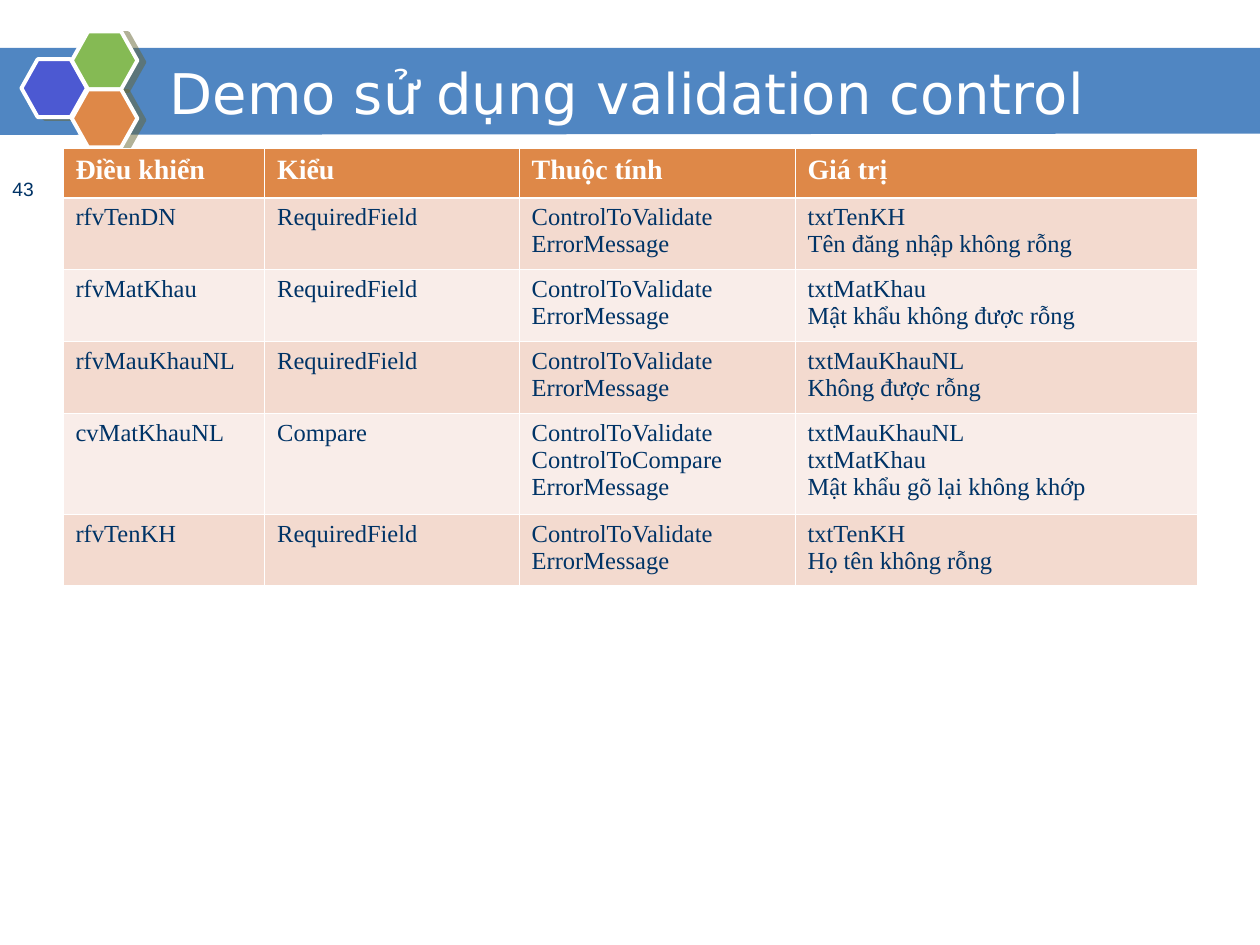
"""Builds a slide with a table of validation controls and their properties."""
from pptx import Presentation
from pptx.dml.color import RGBColor
from pptx.enum.shapes import MSO_SHAPE
from pptx.enum.text import MSO_ANCHOR
from pptx.oxml import parse_xml
from pptx.oxml.ns import nsdecls, qn
from pptx.util import Inches, Pt

WHITE = RGBColor(0xFF, 0xFF, 0xFF)
NAVY = RGBColor(0x00, 0x33, 0x66)
BLUE = RGBColor(0x50, 0x86, 0xC2)
INDIGO = RGBColor(0x4C, 0x59, 0xD2)
GREEN = RGBColor(0x85, 0xBA, 0x54)
ORANGE = RGBColor(0xDE, 0x88, 0x48)
PEACH = RGBColor(0xF3, 0xDA, 0xCF)
PALE_PEACH = RGBColor(0xF9, 0xED, 0xE9)
OLIVE = RGBColor(0x66, 0x66, 0x33)


def write_lines(text_frame, lines, font_name, size, color, bold=False):
    text_frame.text = "\n".join(lines)
    for paragraph in text_frame.paragraphs:
        paragraph.font.name = font_name
        paragraph.font.size = Pt(size)
        paragraph.font.color.rgb = color
        paragraph.font.bold = bold


def add_border(cell, side, width):
    cell._tc.get_or_add_tcPr().append(parse_xml(
        f'<a:{side} {nsdecls("a")} w="{Pt(width)}"><a:solidFill>'
        f'<a:srgbClr val="{WHITE}"/></a:solidFill></a:{side}>'))


presentation = Presentation()
presentation.slide_width = Inches(10)
presentation.slide_height = Inches(7.5)
slide = presentation.slides.add_slide(presentation.slide_layouts[6])

builder = slide.shapes.build_freeform(Inches(-0.01), Inches(0.38))
builder.add_line_segments(
    [(Inches(x), Inches(y)) for x, y in [(10, 0.38), (10, 1.06), (-0.01, 1.07)]])
title_band = builder.convert_to_shape()
title_band.shadow.inherit = False
title_band.fill.solid()
title_band.fill.fore_color.rgb = BLUE
title_band.line.fill.background()

for left, top, color in [(0.17, 0.47, INDIGO), (0.57, 0.25, GREEN), (0.57, 0.71, ORANGE)]:
    hexagon = slide.shapes.add_shape(
        MSO_SHAPE.HEXAGON, Inches(left), Inches(top), Inches(0.52), Inches(0.46))
    hexagon.adjustments[0] = 0.28
    hexagon.fill.solid()
    hexagon.fill.fore_color.rgb = color
    hexagon.line.color.rgb = WHITE
    hexagon.line.width = Pt(2.25)
    hexagon.shadow.inherit = False
    hexagon._element.spPr.find(qn("a:effectLst")).append(parse_xml(
        f'<a:outerShdw {nsdecls("a")} dist="{Pt(4.1)}" dir="{14 * 60000}" algn="ctr" '
        f'rotWithShape="0"><a:srgbClr val="{OLIVE}"><a:alpha val="50000"/></a:srgbClr>'
        '</a:outerShdw>'))

title = slide.shapes.add_textbox(Inches(1.25), Inches(0.42), Inches(8.5), Inches(0.62))
title.text_frame.word_wrap = True
title.text_frame.vertical_anchor = MSO_ANCHOR.MIDDLE
write_lines(title.text_frame, ["Demo sử dụng validation control"], "DejaVu Sans", 32, WHITE)

VALIDATE = "ControlToValidate"
MESSAGE = "ErrorMessage"
rows = [
    (["Điều khiển"], ["Kiểu"], ["Thuộc tính"], ["Giá trị"]),
    (["rfvTenDN"], ["RequiredField"], [VALIDATE, MESSAGE],
     ["txtTenKH", "Tên đăng nhập không rỗng"]),
    (["rfvMatKhau"], ["RequiredField"], [VALIDATE, MESSAGE],
     ["txtMatKhau", "Mật khẩu không được rỗng"]),
    (["rfvMauKhauNL"], ["RequiredField"], [VALIDATE, MESSAGE],
     ["txtMauKhauNL", "Không được rỗng"]),
    (["cvMatKhauNL"], ["Compare"], [VALIDATE, "ControlToCompare", MESSAGE],
     ["txtMauKhauNL", "txtMatKhau", "Mật khẩu gõ lại không khớp"]),
    (["rfvTenKH"], ["RequiredField"], [VALIDATE, MESSAGE],
     ["txtTenKH", "Họ tên không rỗng"]),
]
column_widths = [1.6, 2.02, 2.19, 3.19]
row_heights = [0.39, 0.57, 0.57, 0.57, 0.8, 0.57]
table = slide.shapes.add_table(
    len(rows), len(column_widths), Inches(0.5), Inches(1.18), Inches(9), Inches(3.47)).table
for column, width in zip(table.columns, column_widths):
    column.width = Inches(width)
for row_index, (row, height) in enumerate(zip(rows, row_heights)):
    table.rows[row_index].height = Inches(height)
    is_header = row_index == 0
    fill_color = ORANGE if is_header else PEACH if row_index % 2 else PALE_PEACH
    for column_index, lines in enumerate(row):
        cell = table.cell(row_index, column_index)
        write_lines(cell.text_frame, lines, "Times New Roman", 16 if is_header else 14,
                    WHITE if is_header else NAVY, is_header)
        add_border(cell, "lnL", 0.45)
        add_border(cell, "lnR", 0.45)
        add_border(cell, "lnT", 1.47 if row_index == 1 else 0.45)
        add_border(cell, "lnB", 1.47 if is_header else 0.45)
        cell.fill.solid()
        cell.fill.fore_color.rgb = fill_color

page_number = slide.shapes.add_textbox(Inches(0), Inches(1.39), Inches(0.58), Inches(0.27))
page_number.text_frame.word_wrap = True
write_lines(page_number.text_frame, ["43"], "Arial", 11, NAVY)
page_number.text_frame.paragraphs[0].line_spacing = 0.8

presentation.save("out.pptx")
